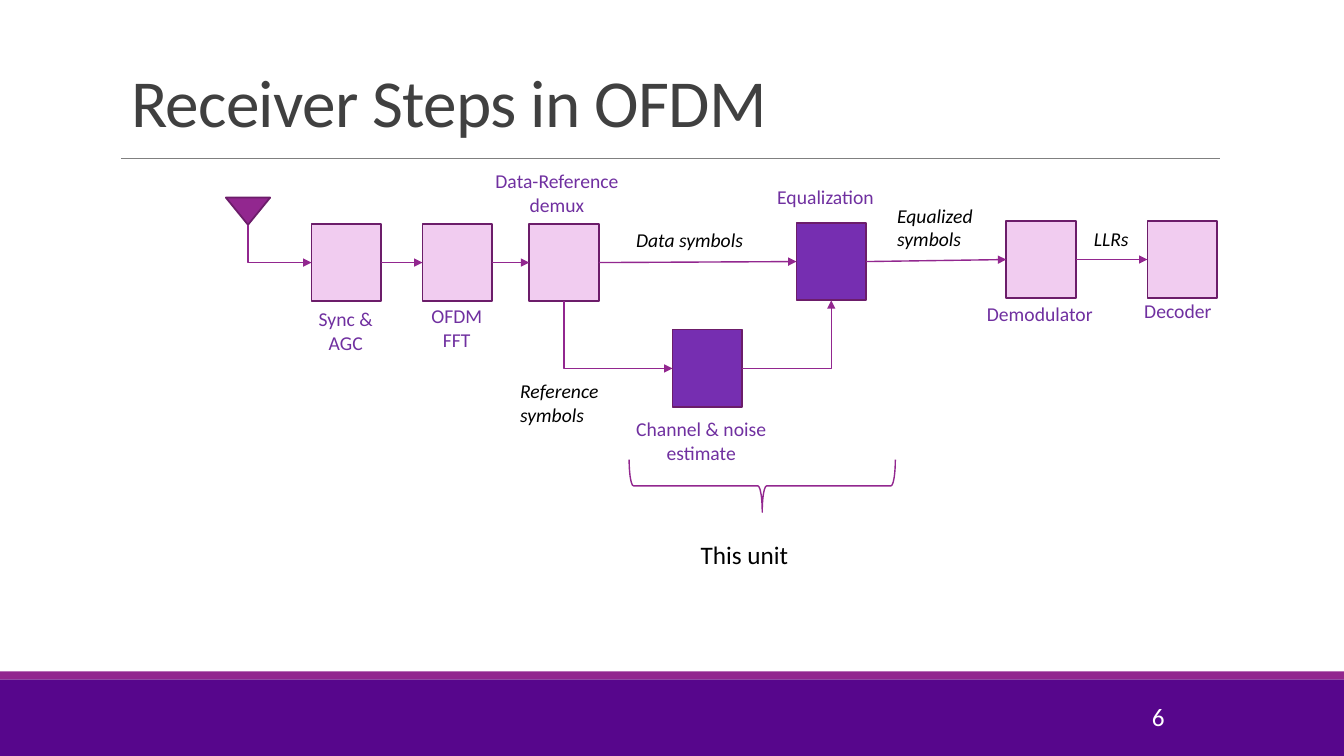
from lxml.etree import SubElement
from pptx import Presentation
from pptx.dml.color import RGBColor
from pptx.enum.shapes import MSO_CONNECTOR, MSO_SHAPE
from pptx.enum.text import MSO_ANCHOR, MSO_AUTO_SIZE, PP_ALIGN
from pptx.oxml.ns import qn
from pptx.util import Inches, Pt

# Content
W, H = 13.33, 7.5
TITLE = "Receiver Steps in OFDM"
PALE, DEEP, EDGE, PLUM = "F1CCF0", "762EB1", "6C1D6A", "92278F"
BOX_W, BOX_H = 0.69, 0.77
TOP, RIGHT, BOTTOM, LEFT = 0, 3, 2, 1

# block: left, top, fill
BLOCKS = {
    "sync": (3.09, 2.22, PALE),
    "fft": (4.19, 2.22, PALE),
    "demux": (5.25, 2.22, PALE),
    "estimate": (6.67, 3.27, DEEP),
    "equalizer": (7.9, 2.21, DEEP),
    "demodulator": (9.98, 2.19, PALE),
    "decoder": (11.38, 2.19, PALE),
}
CHAIN = ["sync", "fft", "demux", "equalizer", "demodulator", "decoder"]

NAME = {"size": 14, "color": "7030A0"}
CENTRED = {**NAME, "align": PP_ALIGN.CENTER}
SIGNAL = {"size": 14, "color": "000000", "italic": True, "wrap": False}
# text, left, top, width, height, format
LABELS = [
    ("Sync &\nAGC", 3.05, 3, 0.76, 0.57, CENTRED),
    ("OFDM FFT", 4.12, 2.97, 0.82, 0.57, CENTRED),
    ("Data-Reference\ndemux", 4.66, 1.63, 1.73, 0.57, CENTRED),
    ("Channel & noise\nestimate", 6.13, 4.09, 1.65, 0.57, CENTRED),
    ("Equalization", 7.61, 1.79, 1.28, 0.34, NAME),
    ("Demodulator", 9.69, 2.95, 1.3, 0.34, NAME),
    ("Decoder", 11.25, 2.92, 1.02, 0.34, NAME),
    ("Data symbols", 6.21, 2.21, 1.28, 0.34, SIGNAL),
    ("Reference\nsymbols", 5.06, 3.71, 0.98, 0.57, SIGNAL),
    ("Equalized\nsymbols", 8.8, 1.97, 0.96, 0.57, SIGNAL),
    ("LLRs", 10.75, 2.2, 0.55, 0.34, SIGNAL),
    ("This unit", 6.85, 5.3, 1.08, 0.4, {"size": 18, "color": "000000", "wrap": False}),
    ("6", 10.22, 6.91, 1.43, 0.4,
     {"size": 18, "color": "FFFFFF", "align": PP_ALIGN.RIGHT, "anchor": MSO_ANCHOR.MIDDLE}),
]

prs = Presentation()
prs.slide_width, prs.slide_height = Inches(W), Inches(H)
s = prs.slides.add_slide(prs.slide_layouts[5])


def rgb(value):
    return RGBColor.from_string(value)


def write(tf, text, size, color, align=PP_ALIGN.LEFT, anchor=MSO_ANCHOR.TOP,
          italic=False, wrap=True):
    for key, value in {"word_wrap": wrap, "vertical_anchor": anchor,
                       "auto_size": MSO_AUTO_SIZE.NONE}.items():
        setattr(tf, key, value)
    p = tf.paragraphs[0]
    p.text, p.alignment = text, align
    for r in p.runs:
        for key, value in {"name": "Calibri", "size": Pt(size), "italic": italic}.items():
            setattr(r.font, key, value)
        r.font.color.rgb = rgb(color)
    return p


def draw(kind, x, y, w, h, fill=None, line=None, weight=1.25, turn=0):
    sp = s.shapes.add_shape(kind, *map(Inches, (x, y, w, h)))
    sp.shadow.inherit = False
    sp.rotation = turn
    if fill:
        sp.fill.solid()
        sp.fill.fore_color.rgb = rgb(fill)
    else:
        sp.fill.background()
    if line:
        sp.line.color.rgb, sp.line.width = rgb(line), Pt(weight)
    else:
        sp.line.fill.background()
    return sp


def connect(x1, y1, x2, y2, kind=MSO_CONNECTOR.STRAIGHT, color=PLUM, weight=1, arrow=True):
    c = s.shapes.add_connector(kind, *map(Inches, (x1, y1, x2, y2)))
    c.line.color.rgb, c.line.width = rgb(color), Pt(weight)
    if arrow:
        SubElement(c.line._get_or_add_ln(), qn("a:tailEnd"), type="triangle")
    SubElement(c._element.spPr, qn("a:effectLst"))
    return c


def elbow(x1, y1, x2, y2, down_first=False):
    """One-corner arrow; the down-first form is a turned and mirrored box."""
    c = connect(x1, y1, x2, y2, MSO_CONNECTOR.ELBOW)
    c._element.spPr.find(qn("a:prstGeom")).set("prst", "bentConnector2")
    if down_first:
        dx, dy = x2 - x1, y2 - y1
        c.left, c.top = Inches((x1 + x2 - dy) / 2), Inches((y1 + y2 - dx) / 2)
        c.width, c.height = Inches(dy), Inches(dx)
        xfrm = c._element.spPr.find(qn("a:xfrm"))
        xfrm.set("rot", str(270 * 60000))
        xfrm.set("flipH", "1")


def side(name, site):
    x, y, _ = BLOCKS[name]
    fx, fy = {TOP: (0.5, 0), LEFT: (0, 0.5), BOTTOM: (0.5, 1), RIGHT: (1, 0.5)}[site]
    return x + fx * BOX_W, y + fy * BOX_H


# Footer bands and title rule
draw(MSO_SHAPE.RECTANGLE, 0, 6.74, W, 0.76, "57068C")
draw(MSO_SHAPE.RECTANGLE, 0, 6.66, W, 0.08, PLUM)
connect(1.2, 1.57, 12.1, 1.57, color="808080", weight=0.5, arrow=False)

# Title
title = s.shapes.title
for key, value in {"left": 1.2, "top": 0.31, "width": 11, "height": 1.14}.items():
    setattr(title, key, Inches(value))
p = write(title.text_frame, TITLE, 48, "404040", anchor=MSO_ANCHOR.BOTTOM)
p.line_spacing = 0.85
p.runs[0].font._element.set("spc", "-50")

# Antenna and processing blocks
draw(MSO_SHAPE.ISOSCELES_TRIANGLE, 2.24, 1.96, 0.44, 0.27, PLUM, EDGE, turn=180)
boxes = {name: draw(MSO_SHAPE.RECTANGLE, x, y, BOX_W, BOX_H, fill, EDGE)
         for name, (x, y, fill) in BLOCKS.items()}

# Signal path
for a, b in zip(CHAIN, CHAIN[1:]):
    c = connect(*side(a, RIGHT), *side(b, LEFT))
    c.begin_connect(boxes[a], RIGHT)
    c.end_connect(boxes[b], LEFT)
elbow(2.46, 2.23, *side("sync", LEFT), down_first=True)
elbow(*side("demux", BOTTOM), *side("estimate", LEFT), down_first=True)
elbow(*side("estimate", RIGHT), *side("equalizer", BOTTOM))

# Brace and labels
draw(MSO_SHAPE.LEFT_BRACE, 7.3, 3.5, 0.52, 2.64, line=PLUM, weight=1, turn=270)
for text, x, y, w, h, style in LABELS:
    write(s.shapes.add_textbox(*map(Inches, (x, y, w, h))).text_frame, text, **style)

prs.save("out.pptx")
